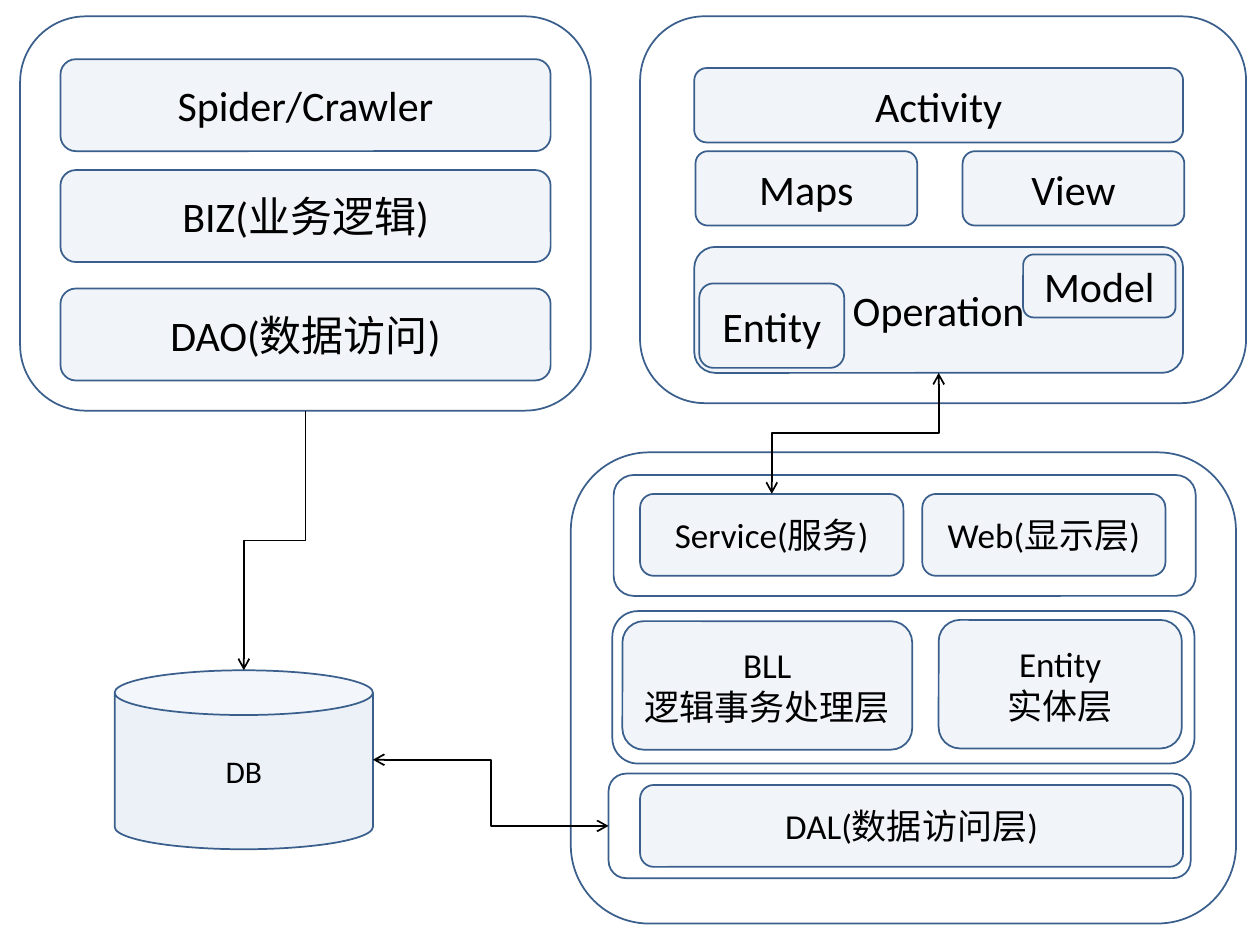
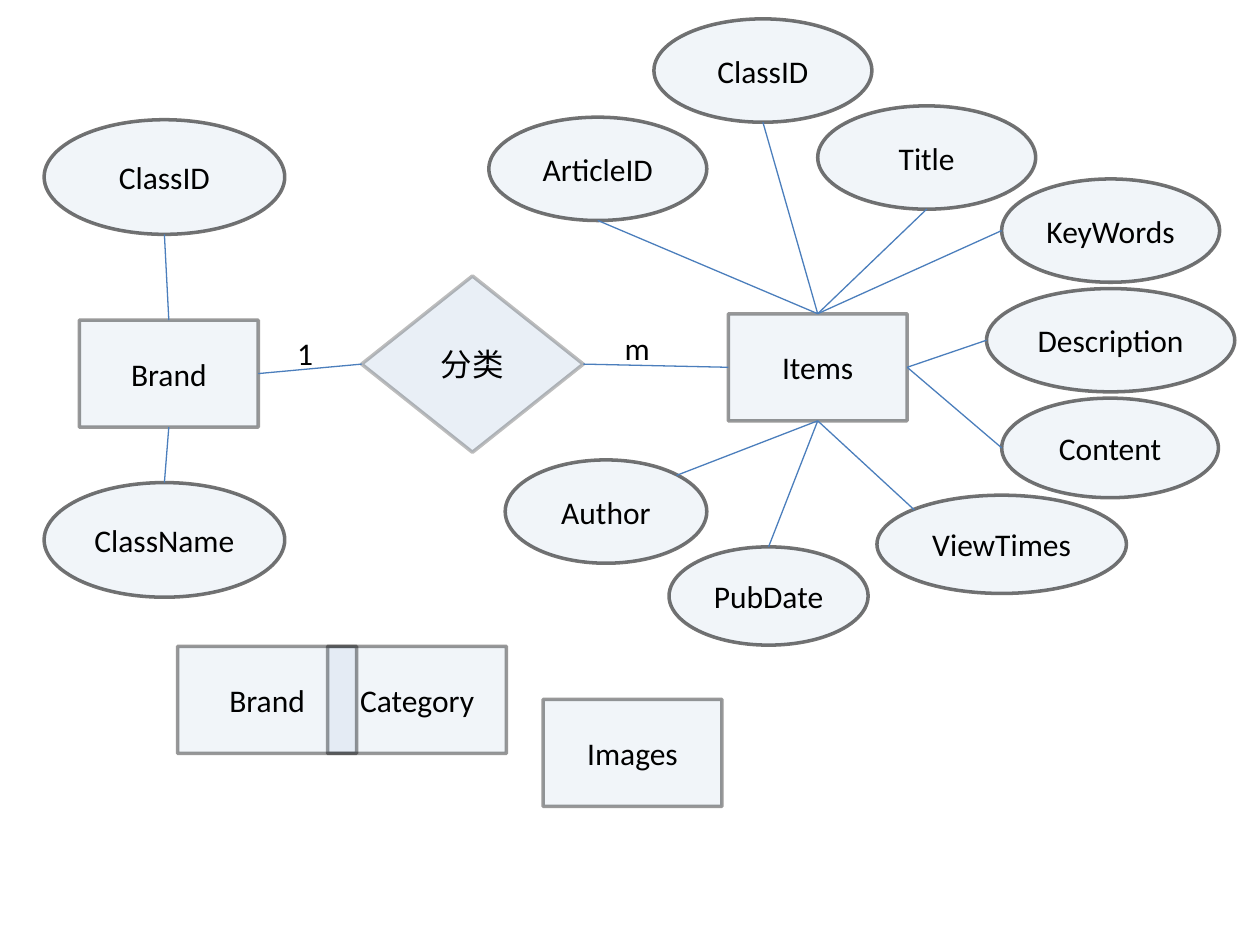
from lxml.etree import SubElement
from pptx import Presentation
from pptx.dml.color import RGBColor
from pptx.enum.shapes import MSO_CONNECTOR as Link, MSO_SHAPE as Kind
from pptx.enum.text import MSO_ANCHOR as Anchor, PP_ALIGN as Align
from pptx.oxml.ns import qn
from pptx.util import Inches, Pt

WIDTH, HEIGHT = 10, 7.5
FONT = "Calibri"
BLACK, BLUE, NAVY, SKY = "000000", "4F81BD", "3A5F8C", "4B7EBC"

STYLES = {
    "frame": dict(kind=Kind.ROUNDED_RECTANGLE, fill=0, line=(NAVY, 1, 100), size=24),
    "layer": dict(kind=Kind.ROUNDED_RECTANGLE, fill=8, line=(NAVY, 1, 100), size=24),
    "tier": dict(kind=Kind.ROUNDED_RECTANGLE, fill=8, line=(NAVY, 1, 100), size=20),
    "store": dict(kind=Kind.CAN, fill=11, line=(NAVY, 1, 100), size=18),
    "table": dict(kind=Kind.RECTANGLE, fill=8, line=(BLACK, 2, 40), size=18),
    "field": dict(kind=Kind.OVAL, fill=8, line=(BLACK, 2, 54), size=18),
    "relation": dict(kind=Kind.DIAMOND, fill=12, line=(BLACK, 2, 26), size=18),
}

CRAWLER_ROWS = ["Spider/Crawler", "BIZ(业务逻辑)", "DAO(数据访问)"]
CRAWLER_TOPS = [0.47, 1.35, 2.29]
ROW_SIZE = (3.89, 0.73)
HALF_SIZE = (1.76, 0.59)
WIDE = 3.88
FRAME_WIDTH = 4.62
TIER_HEIGHT = 0.65

ARCHITECTURE = [
    ("app", "frame", "", (5.08, 0.13, 4.81, 3.07)),
    ("server", "frame", "", (4.53, 3.59, 5.28, 3.74)),
    ("logic frame", "frame", "", (4.86, 4.85, FRAME_WIDTH, 1.21)),
    ("data frame", "frame", "", (4.83, 6.14, FRAME_WIDTH, 0.83)),
    ("front frame", "frame", "", (4.87, 3.77, FRAME_WIDTH, 0.96)),
    ("logic", "tier", "BLL\n逻辑事务处理层", (4.94, 4.93, 2.3, 1.02)),
    ("entities", "tier", "Entity\n实体层", (7.45, 4.92, 1.93, 1.02)),
    ("data", "tier", "DAL(数据访问层)", (5.08, 6.23, 4.31, TIER_HEIGHT)),
    ("web", "tier", "Web(显示层)", (7.32, 3.92, 1.93, TIER_HEIGHT)),
    ("service", "tier", "Service(服务)", (5.08, 3.92, 2.09, TIER_HEIGHT)),
    ("database", "store", "DB", (0.91, 5.32, 2.05, 1.42)),
    ("crawler", "frame", "", (0.16, 0.13, 4.53, 3.13)),
    ("view", "layer", "View", (7.64, 1.2, *HALF_SIZE)),
    ("activity", "layer", "Activity", (5.51, 0.54, WIDE, 0.59)),
    ("operation", "layer", "Operation", (5.51, 1.96, WIDE, 1)),
    ("maps", "layer", "Maps", (5.52, 1.2, *HALF_SIZE)),
    ("model", "frame", "Model", (8.12, 2.02, 1.21, 0.5)),
    ("entity", "frame", "Entity", (5.55, 2.25, 1.15, 0.67)),
] + [(text, "layer", text, (0.48, top, *ROW_SIZE))
     for text, top in zip(CRAWLER_ROWS, CRAWLER_TOPS)]

FLOWS = [
    ("crawler", "bottom", "database", "top", ["tailEnd"]),
    ("database", "right", "data frame", "left", ["headEnd", "tailEnd"]),
    ("operation", "bottom", "service", "top", ["headEnd", "tailEnd"]),
]

TABLE_SIZE = (1.42, 0.85)
CLASS_SIZE = (1.91, 0.91)
ITEM_SIZE = (1.73, 0.82)

ENTITIES = [
    ("class id", "field", "ClassID", (0.35, 0.95, *CLASS_SIZE)),
    ("brand", "table", "Brand", (0.63, 2.54, *TABLE_SIZE)),
    ("article id", "field", "ArticleID", (3.88, 0.93, *ITEM_SIZE)),
    ("class name", "field", "ClassName", (0.35, 3.83, *CLASS_SIZE)),
    ("items", "table", "Items", (5.78, 2.49, *TABLE_SIZE)),
    ("item class", "field", "ClassID", (5.19, 0.15, *ITEM_SIZE)),
    ("title", "field", "Title", (6.49, 0.84, *ITEM_SIZE)),
    ("keywords", "field", "KeyWords", (7.95, 1.42, *ITEM_SIZE)),
    ("description", "field", "Description", (7.83, 2.29, 1.97, 0.82)),
    ("content", "field", "Content", (7.95, 3.16, 1.72, 0.79)),
    ("view times", "field", "ViewTimes", (6.96, 3.93, 1.98, 0.78)),
    ("pub date", "field", "PubDate", (5.31, 4.34, 1.58, 0.78)),
    ("author", "field", "Author", (4.01, 3.65, 1.6, 0.82)),
    ("sorting", "relation", "分类", (2.87, 2.19, 1.76, 1.4)),
    ("category", "table", "Category", (2.6, 5.13, *TABLE_SIZE)),
    ("images", "table", "Images", (4.31, 5.55, *TABLE_SIZE)),
    ("brand part", "table", "Brand", (1.41, 5.13, *TABLE_SIZE)),
]

RELATIONS = [
    ("item class", "bottom", "items", "top"),
    ("items", "top", "article id", "bottom"),
    ("title", "bottom", "items", "top"),
    ("items", "top", "keywords", "left"),
    ("items", "right", "description", "left"),
    ("items", "right", "content", "left"),
    ("items", "bottom", "view times", "top left"),
    ("items", "bottom", "pub date", "top"),
    ("author", "top right", "items", "bottom"),
    ("sorting", "right", "items", "left"),
    ("brand", "right", "sorting", "left"),
    ("brand", "bottom", "class name", "top"),
    ("brand", "top", "class id", "bottom"),
]

CARDINALITIES = [("1", 2.26, 2.6), ("m", 4.86, 2.56)]

SIDES = {
    "top": (0.5, 0), "bottom": (0.5, 1), "left": (0, 0.5), "right": (1, 0.5),
    "top left": (0.15, 0.15), "top right": (0.85, 0.15),
}


def paint(color_format, color):
    color_format.rgb = RGBColor.from_string(color)


def fade(fill, percent):
    if percent < 100:
        color = fill.find(qn("a:solidFill"))[0]
        SubElement(color, qn("a:alpha"), val=str(percent * 1000))


def write(frame, text, size, align):
    for number, content in enumerate(text.split("\n")):
        para = frame.add_paragraph() if number else frame.paragraphs[0]
        para.alignment = align
        span = para.add_run()
        span.text = content
        for name, value in dict(name=FONT, size=Pt(size)).items():
            setattr(span.font, name, value)
        paint(span.font.color, BLACK)


def add_box(page, style, text, place):
    look = STYLES[style]
    box = page.shapes.add_shape(look["kind"], *map(Inches, place))
    box.shadow.inherit = False
    if look["fill"]:
        box.fill.solid()
        paint(box.fill.fore_color, BLUE)
        fade(box.element.spPr, look["fill"])
    else:
        box.fill.background()
    color, weight, opacity = look["line"]
    paint(box.line.color, color)
    box.line.width = Pt(weight)
    fade(box.element.spPr.find(qn("a:ln")), opacity)
    if text:
        box.text_frame.vertical_anchor = Anchor.MIDDLE
        write(box.text_frame, text, look["size"], Align.CENTER)


def add_boxes(page, boxes):
    for _, style, text, place in boxes:
        add_box(page, style, text, place)
    return {name: place for name, _, _, place in boxes}


def site(place, side):
    left, top, width, height = place
    across, down = SIDES[side]
    return left + width * across, top + height * down


def add_link(page, kind, start, end, color, weight, heads=()):
    link = page.shapes.add_connector(kind, *map(Inches, (*start, *end)))
    paint(link.line.color, color)
    link.line.width = Pt(weight)
    for head in heads:
        SubElement(link.element.spPr.find(qn("a:ln")), qn("a:" + head), type="arrow")
    SubElement(link.element.spPr, qn("a:effectLst"))
    return link


def add_drop(page, start, end, heads):
    middle, center = (start[0] + end[0]) / 2, (start[1] + end[1]) / 2
    reach, shift = (end[1] - start[1]) / 2, (start[0] - end[0]) / 2
    link = add_link(page, Link.ELBOW, (middle - reach, center - shift),
                    (middle + reach, center + shift), BLACK, 1, heads)
    link.element.spPr.find(qn("a:xfrm")).set("rot", "5400000")


def draw_architecture(page):
    places = add_boxes(page, ARCHITECTURE)
    for source, exit_side, target, entry_side, heads in FLOWS:
        start, end = site(places[source], exit_side), site(places[target], entry_side)
        if exit_side == "bottom":
            add_drop(page, start, end, heads)
        else:
            add_link(page, Link.ELBOW, start, end, BLACK, 1, heads)


def draw_entities(page):
    places = add_boxes(page, ENTITIES)
    for source, exit_side, target, entry_side in RELATIONS:
        add_link(page, Link.STRAIGHT, site(places[source], exit_side),
                 site(places[target], entry_side), SKY, 0.75)
    for text, left, top in CARDINALITIES:
        label = page.shapes.add_textbox(*map(Inches, (left, top, 0.38, 0.4)))
        label.text_frame.word_wrap = True
        write(label.text_frame, text, 18, Align.LEFT)


def main():
    deck = Presentation()
    deck.slide_width, deck.slide_height = Inches(WIDTH), Inches(HEIGHT)
    for draw in (draw_architecture, draw_entities):
        draw(deck.slides.add_slide(deck.slide_layouts[6]))
    deck.save("out.pptx")


if __name__ == "__main__":
    main()
